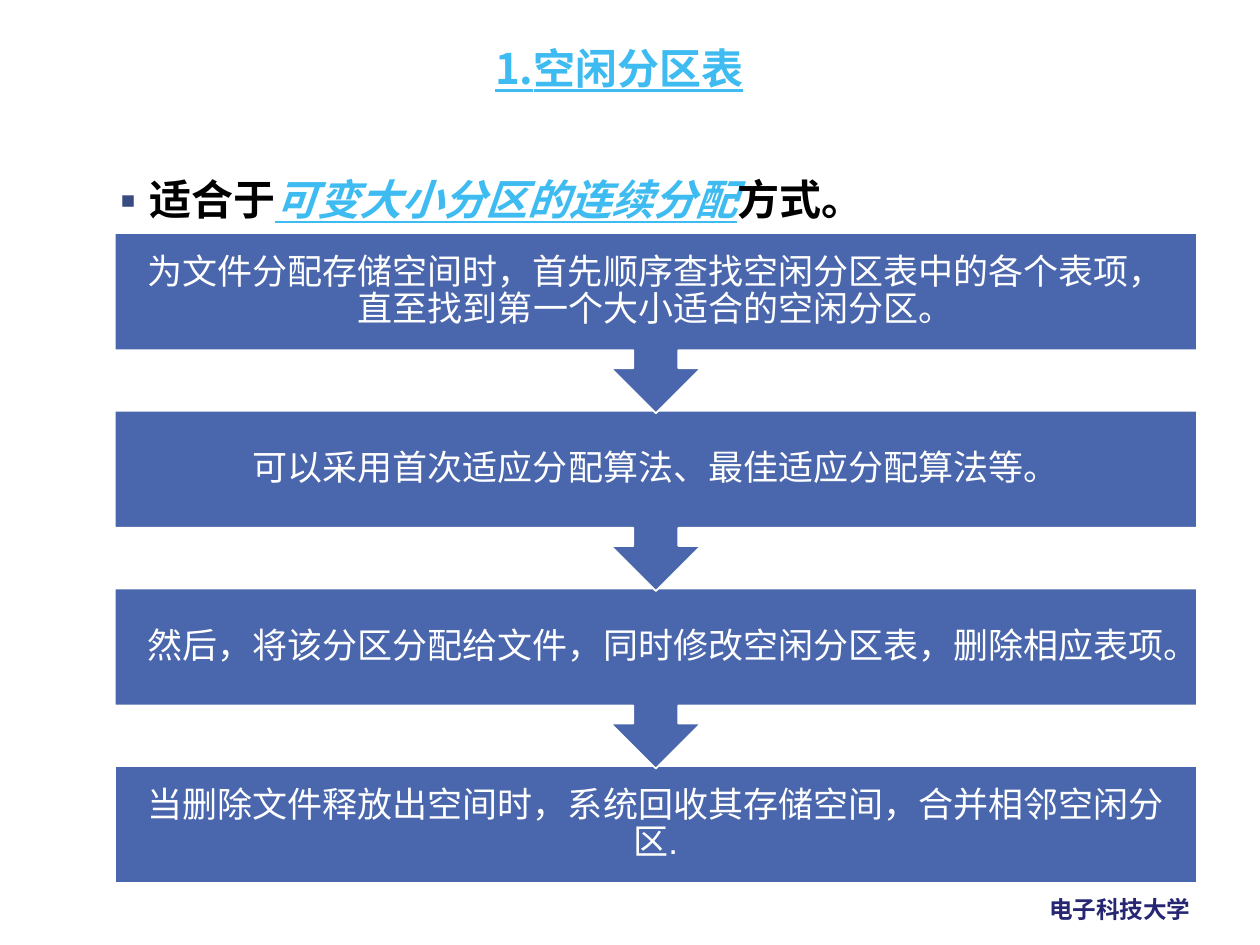
from lxml.etree import SubElement
from pptx import Presentation
from pptx.dml.color import RGBColor
from pptx.enum.shapes import MSO_SHAPE as Shape
from pptx.enum.text import MSO_ANCHOR as Anchor, MSO_AUTO_SIZE as Fit, PP_ALIGN as Align
from pptx.oxml.ns import qn
from pptx.util import Inches, Pt

NOTO = "Noto Sans CJK SC"
SKY = "3EBBF0"
LEFT, TOP, WIDTH, HEIGHT, PITCH = 0.91, 1.85, 8.59, 0.93, 1.41
STEPS = [
    "为文件分配存储空间时，首先顺序查找空闲分区表中的各个表项，直至找到第一个大小适合的空闲分区。",
    "可以采用首次适应分配算法、最佳适应分配算法等。",
    "然后，将该分区分配给文件，同时修改空闲分区表，删除相应表项。",
    "当删除文件释放出空间时，系统回收其存储空间，合并相邻空闲分区.",
]


def color(code):
    """Turn a hex string into a colour."""
    return RGBColor.from_string(code)


def write(para, text, size=24, face=NOTO, ink="000000", bold=True, slant=False, under=False):
    """Add a formatted run to a paragraph."""
    run = para.add_run()
    run.text = text
    font = run.font
    font.size, font.name, font.bold = Pt(size), face, bold
    font.italic, font.underline = slant, under
    font.color.rgb = color(ink)
    SubElement(font._element, qn("a:ea"), typeface=face)


def place(shape, left, top, width, height):
    """Move and size a shape, in inches."""
    shape.left, shape.top = Inches(left), Inches(top)
    shape.width, shape.height = Inches(width), Inches(height)


def setup(shape, align, lead=1.0, anchor=Anchor.TOP, wrap=True):
    """Prepare a text frame and return its first paragraph."""
    frame = shape.text_frame
    frame.auto_size, frame.word_wrap = Fit.NONE, wrap
    frame.vertical_anchor = anchor
    para = frame.paragraphs[0]
    para.alignment, para.line_spacing = align, lead
    para.space_before = Pt(0)
    return para


def bullet(para, mark, ink, indent):
    """Give a paragraph a coloured bullet with a hanging indent."""
    props = para._p.get_or_add_pPr()
    props.set("marL", str(Inches(indent)))
    props.set("indent", str(-Inches(indent)))
    tint = SubElement(props, qn("a:buClr"))
    SubElement(tint, qn("a:srgbClr"), val=ink)
    SubElement(props, qn("a:buFont"), typeface=NOTO)
    SubElement(props, qn("a:buChar"), char=mark)


def label(slide, box, align, text, pad=None, lead=1.0, anchor=Anchor.TOP, wrap=True, **style):
    """Add a text box holding one formatted line of text."""
    shape = slide.shapes.add_textbox(*map(Inches, box))
    para = setup(shape, align, lead, anchor, wrap)
    if pad is not None:
        frame = shape.text_frame
        frame.margin_left = frame.margin_right = Inches(pad)
        frame.margin_top = frame.margin_bottom = Inches(pad)
    write(para, text, **style)


def step(slide, top, text, last):
    """Add one step of the flow, with a down arrow unless it is last."""
    kind = Shape.RECTANGLE if last else Shape.UP_ARROW_CALLOUT
    tall = HEIGHT if last else 1.43
    shape = slide.shapes.add_shape(kind, *map(Inches, (LEFT, top, WIDTH, tall)))
    shape.rotation = 0 if last else 180
    shape.shadow.inherit = False
    shape.fill.solid()
    shape.fill.fore_color.rgb = color("4A66AC")
    shape.line.color.rgb = color("FFFFFF")
    shape.line.width = Pt(1)
    label(slide, (LEFT, top, WIDTH, HEIGHT), Align.CENTER, text, pad=0.16, lead=0.9,
          anchor=Anchor.MIDDLE, size=20, face="Arial", ink="FFFFFF", bold=False)


def main():
    """Build the slide and save it."""
    deck = Presentation()
    deck.slide_width, deck.slide_height = Inches(10), Inches(7.5)
    slide = deck.slides.add_slide(deck.slide_layouts[1])
    title, body = slide.placeholders

    place(title, 0.82, 0.33, 8.19, 0.74)
    write(setup(title, Align.CENTER, 0.9), "1.空闲分区表", ink=SKY, under=True)

    place(body, 0.75, 1.29, 8.5, 5.73)
    para = setup(body, Align.JUSTIFY, 1.1)
    bullet(para, "▪", "384C81", 0.19)
    write(para, "适合于")
    write(para, "可变大小分区的连续分配", ink=SKY, slant=True, under=True)
    write(para, "方式。")

    for i, text in reversed(list(enumerate(STEPS))):
        step(slide, TOP + i * PITCH, text, i == len(STEPS) - 1)

    label(slide, (8.23, 7.05, 1.34, 0.33), Align.LEFT, "电子科技大学",
          wrap=False, size=13.5, ink="262673")
    deck.save("out.pptx")


if __name__ == "__main__":
    main()
